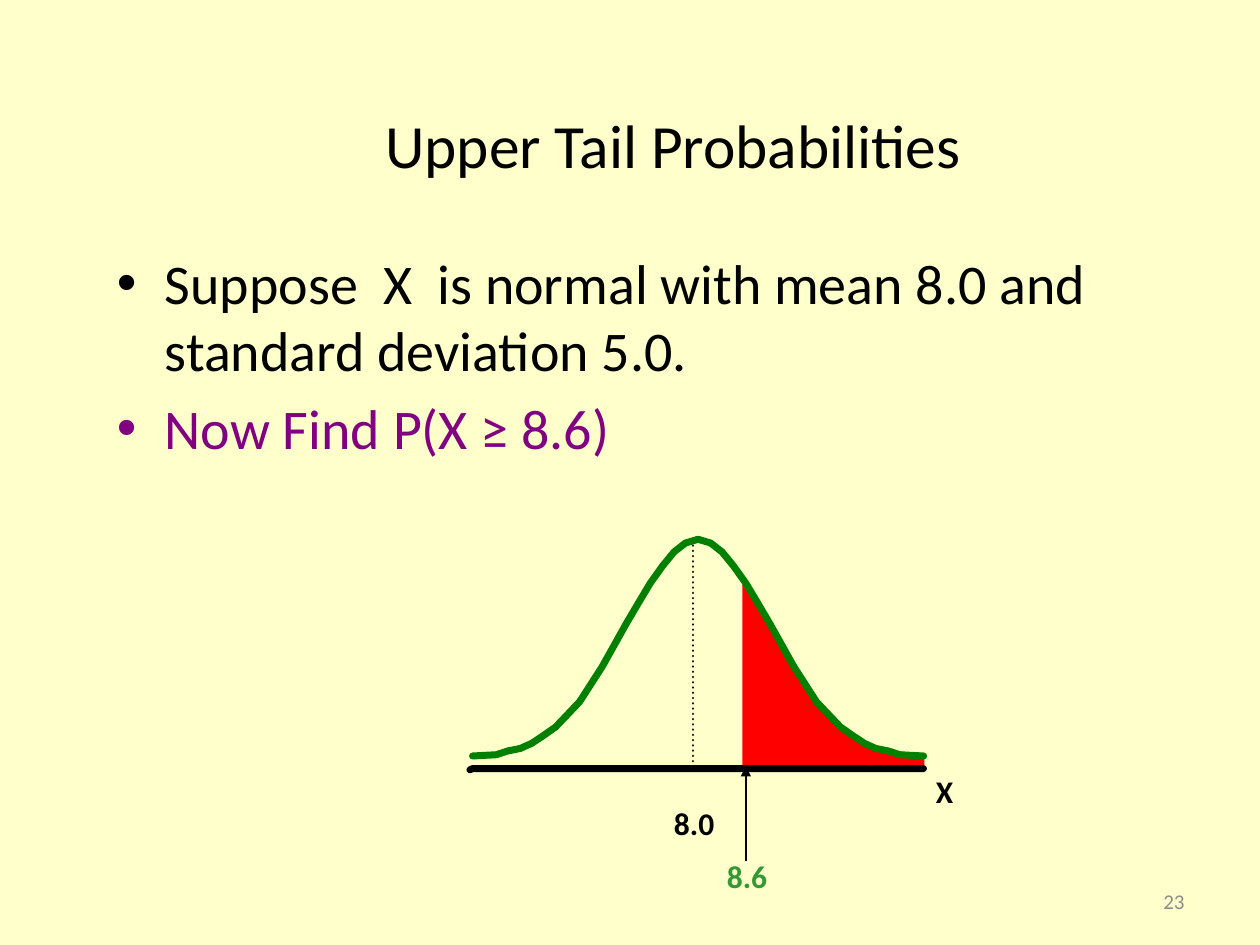
from typing import NamedTuple

from lxml import etree
from pptx import Presentation
from pptx import util as u
from pptx.dml.color import RGBColor
from pptx.enum import dml, text
from pptx.oxml import ns

COLORS = {
    "background": "FFFFCC",
    "ink": "000000",
    "question": "800080",
    "curve": "008000",
    "tail": "FF0000",
    "cutoff": "339933",
    "number": "8C8C8C",
}
FONT = "Calibri"
MEAN_X = 5.54
BASE_Y = 6.1

HALF_CURVE = [
    (0, 4.28), (0.1, 4.31), (0.19, 4.38), (0.28, 4.49), (0.38, 4.63),
    (0.47, 4.78), (0.57, 4.95), (0.76, 5.29), (0.94, 5.57), (1.13, 5.77),
    (1.23, 5.84), (1.32, 5.9), (1.41, 5.94), (1.51, 5.96), (1.6, 5.99),
    (1.79, 6),
]
UPPER_TAIL = [
    (5.9, BASE_Y), (5.9, 4.57), (5.94, 4.69), (6.04, 4.84), (6.1, 4.98),
    (6.17, 5.08), (6.24, 5.23), (6.37, 5.43), (6.48, 5.58), (6.66, 5.77),
    (6.95, 5.94), (7.33, 6), (7.33, BASE_Y),
]
AXIS = [(3.73, BASE_Y + 0.01), (3.75, BASE_Y), (7.33, BASE_Y)]


class Label(NamedTuple):
    words: str
    left: float
    top: float
    width: float
    color: str
    size: float = 18
    bold: bool = True
    align: text.PP_ALIGN = text.PP_ALIGN.LEFT
    wrap: bool = False


class Bullet(NamedTuple):
    words: str
    color: str


LABELS = [
    Label("X", 7.33, 6.08, 0.42, "ink", wrap=True),
    Label("8.6", 5.67, 6.75, 0.55, "cutoff"),
    Label("8.0", 5.25, 6.33, 0.55, "ink"),
    Label("23", 7.17, 6.95, 2.33, "number", 12, False, text.PP_ALIGN.RIGHT, True),
]
BULLETS = [
    Bullet("Suppose  X  is normal with mean 8.0 and standard deviation 5.0.", "ink"),
    Bullet("Now Find P(X ≥ 8.6)", "question"),
]


def rgb(name: str) -> RGBColor:
    return RGBColor.from_string(COLORS[name])


def set_font(p, size: float, color: str, bold: bool = False) -> None:
    p.font.name = FONT
    p.font.size = u.Pt(size)
    p.font.bold = bold
    p.font.color.rgb = rgb(color)


def add_title(s, words: str) -> None:
    sp = s.shapes.title
    sp.left, sp.top, sp.width, sp.height = map(u.Inches, (1.08, 0.68, 8.52, 0.92))
    tf = sp.text_frame
    tf.text = words
    tf.vertical_anchor = text.MSO_ANCHOR.MIDDLE
    p = tf.paragraphs[0]
    p.alignment = text.PP_ALIGN.CENTER
    set_font(p, 35.1, "ink")


def add_bullets(s, bullets: list[Bullet]) -> None:
    sp = s.shapes.add_textbox(*map(u.Inches, (0.83, 1.92, 8.83, 4.96)))
    tf = sp.text_frame
    tf.word_wrap = True
    for i, bullet in enumerate(bullets):
        p = tf.add_paragraph() if i else tf.paragraphs[0]
        p.text = bullet.words
        p.space_before = u.Pt(6.4)
        set_font(p, 32, bullet.color)
        pPr = p._p.get_or_add_pPr()
        pPr.set("marL", str(u.Inches(0.38)))
        pPr.set("indent", str(-u.Inches(0.38)))
        defaults = pPr.find(ns.qn("a:defRPr"))
        defaults.addprevious(etree.Element(ns.qn("a:buFont"), typeface="Arial"))
        defaults.addprevious(etree.Element(ns.qn("a:buChar"), char="•"))


def add_label(s, label: Label) -> None:
    box = (label.left, label.top, label.width, 0.4)
    tf = s.shapes.add_textbox(*map(u.Inches, box)).text_frame
    tf.word_wrap = label.wrap
    tf.vertical_anchor = text.MSO_ANCHOR.MIDDLE
    p = tf.paragraphs[0]
    p.text = label.words
    p.alignment = label.align
    set_font(p, label.size, label.color, label.bold)


def add_outline(s, points, color: str, width: float, filled: bool = False) -> None:
    start, *rest = [(u.Inches(x), u.Inches(y)) for x, y in points]
    fb = s.shapes.build_freeform(*start)
    fb.add_line_segments(rest, close=filled)
    sp = fb.convert_to_shape()
    sp.shadow.inherit = False
    if filled:
        sp.fill.solid()
        sp.fill.fore_color.rgb = rgb(color)
    else:
        sp.fill.background()
    sp.line.color.rgb = rgb(color)
    sp.line.width = u.Pt(width)
    ln = sp.line._get_or_add_ln()
    ln.set("cap", "rnd")
    etree.SubElement(ln, ns.qn("a:round"))


def add_line(s, start, end, width: float, dotted: bool = False, arrow: bool = False) -> None:
    sp = s.shapes.add_connector(1, *map(u.Inches, (*start, *end)))
    sp.line.color.rgb = rgb("ink")
    sp.line.width = u.Pt(width)
    ln = sp.line._get_or_add_ln()
    if dotted:
        sp.line.dash_style = dml.MSO_LINE.ROUND_DOT
        ln.set("cap", "rnd")
    if arrow:
        etree.SubElement(ln, ns.qn("a:tailEnd"), type="triangle")
    etree.SubElement(sp._element.spPr, ns.qn("a:effectLst"))


def main() -> None:
    prs = Presentation()
    prs.slide_width, prs.slide_height = u.Inches(10), u.Inches(7.5)
    s = prs.slides.add_slide(prs.slide_layouts[5])
    s.background.fill.solid()
    s.background.fill.fore_color.rgb = rgb("background")

    add_title(s, "Upper Tail Probabilities")
    add_bullets(s, BULLETS)
    add_outline(s, UPPER_TAIL, "tail", 1, filled=True)
    for side in (1, -1):
        half = [(MEAN_X + side * dx, y) for dx, y in HALF_CURVE]
        add_outline(s, half, "curve", 4)
    add_outline(s, AXIS, "ink", 4)
    add_line(s, (5.92, 6.83), (5.92, 6.08), 1, arrow=True)
    add_line(s, (5.5, 4.33), (5.5, 6.08), 1.5, dotted=True)
    for label in LABELS:
        add_label(s, label)
    prs.save("out.pptx")


if __name__ == "__main__":
    main()
